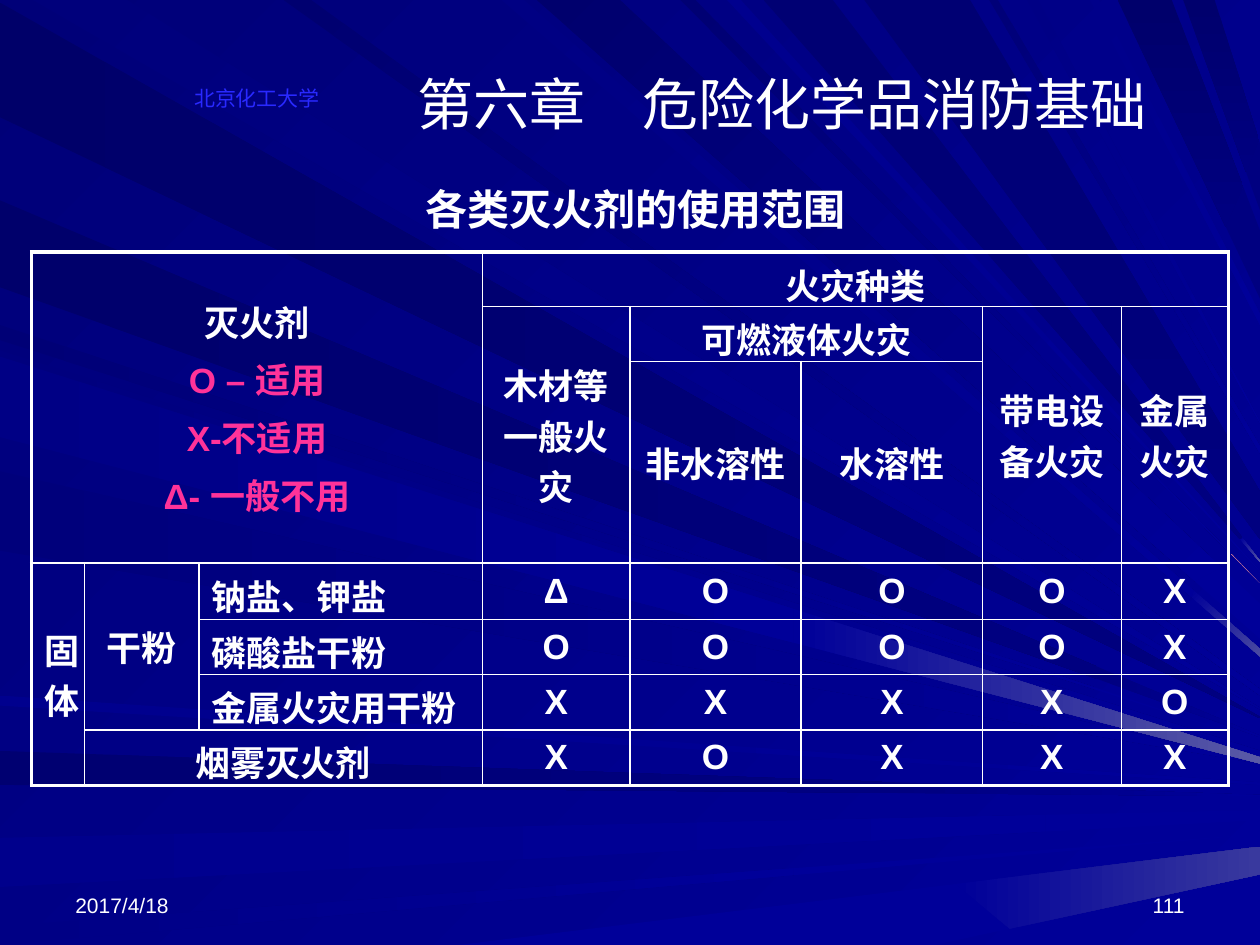
from dataclasses import dataclass
from enum import Enum
from typing import NamedTuple, Optional

from lxml.etree import SubElement
from pptx import Presentation
from pptx.dml.color import RGBColor
from pptx.dml.fill import FillFormat
from pptx.enum.text import MSO_ANCHOR, PP_ALIGN
from pptx.oxml import parse_xml
from pptx.oxml.ns import nsdecls, qn
from pptx.slide import Slide
from pptx.table import _Cell
from pptx.text.text import TextFrame, _Paragraph
from pptx.util import Cm, Pt

Point = tuple[float, float]
Pair = tuple[float, float]
Box = tuple[float, float, float, float]

SLIDE_WIDTH, SLIDE_HEIGHT = 10, 7.5


@dataclass(frozen=True)
class Theme:
    """Colours, fonts, type sizes and line widths of the slide."""
    dark_blue: str = "000078"
    deep_blue: str = "000080"
    blue: str = "000099"
    soft_glow: str = "39399E"
    middle_glow: str = "4A4AA1"
    bright_glow: str = "5A5AA6"
    pink_glow: str = "FF9999"
    text: str = "FFFFFF"
    key: str = "FF3399"
    school: str = "2929FF"
    font: str = "Arial"
    caption_font: str = "Times New Roman"
    title_size: float = 32
    caption_size: float = 24
    table_size: float = 20
    small_size: float = 12
    grid_line: float = 1
    frame_line: float = 2.25


THEME = Theme()


class Edge(Enum):
    """The slide edge where a beam starts."""
    LEFT = "left"
    TOP = "top"
    BOTTOM = "bottom"

    def point(self, distance: float) -> Point:
        """Return the point at a distance along this edge."""
        if self is Edge.LEFT:
            return 0, distance
        return distance, 0 if self is Edge.TOP else SLIDE_HEIGHT


class Beam(NamedTuple):
    """A straight beam to the right edge, changing colour where its two sides reach the joint."""
    edge: Edge
    source: Pair
    exit: Pair
    shade: str
    tint: str = THEME.blue
    joint: Pair = (1, 1)
    glow: Optional[tuple[str, str]] = None


class Label(NamedTuple):
    """A line of text in a box given in inches."""
    text: str
    box: Box
    color: str
    alignment: PP_ALIGN


class Entry(NamedTuple):
    """A table cell with its position, lines and span."""
    row: int
    column: int
    lines: tuple[str, ...]
    height: int = 1
    width: int = 1
    alignment: PP_ALIGN = PP_ALIGN.CENTER


PLAIN = (THEME.blue, THEME.blue)
PLAIN_DEEP = (THEME.deep_blue, THEME.deep_blue)
LIFTED = (THEME.deep_blue, THEME.blue)
SOFT, MIDDLE, BRIGHT, PINK = ((THEME.blue, THEME.soft_glow), (THEME.blue, THEME.middle_glow),
                              (THEME.blue, THEME.bright_glow), (THEME.pink_glow, THEME.pink_glow))

BEAMS = (
    Beam(Edge.LEFT, (0.02, 0.93), (5.69, 5.7), "000069", THEME.deep_blue),
    Beam(Edge.TOP, (0.26, 1.01), (5.63, 5.62), "00007B"),
    Beam(Edge.LEFT, (5.96, 6.23), (6.31, 6.32), "000071", THEME.deep_blue, (0.7, 0.7), LIFTED),
    Beam(Edge.LEFT, (6.65, 7.04), (6.43, 6.51), "00008C", THEME.blue, (0.83, 0.83), PLAIN),
    Beam(Edge.LEFT, (7.35, 7.5), (6.62, 6.62), "000085", THEME.blue, (0.63, 0.63), PLAIN),
    Beam(Edge.BOTTOM, (3.64, 7.42), (6.72, 6.94), THEME.blue, THEME.blue, (0.62, 0.23), SOFT),
    Beam(Edge.LEFT, (2.58, 2.7), (5.89, 5.89), "000076", THEME.blue, (0.87, 0.87), PLAIN),
    Beam(Edge.LEFT, (1.59, 2.28), (5.84, 5.85), "00006B", THEME.deep_blue, (0.87, 0.87), LIFTED),
    Beam(Edge.TOP, (3.98, 4.16), (5.21, 5.15), "000083", THEME.blue, (0.91, 0.91), MIDDLE),
    Beam(Edge.TOP, (4.26, 4.92), (5.07, 4.79), "00006D", THEME.blue, (0.91, 0.94), PLAIN),
    Beam(Edge.TOP, (5.4, 5.52), (4.63, 4.63), "000073", THEME.blue, (0.95, 0.95), PINK),
    Beam(Edge.TOP, (6.06, 6.61), (4.46, 4.45), "000073", THEME.deep_blue, (0.96, 0.96), BRIGHT),
    Beam(Edge.TOP, (8.87, 9.3), (2.37, 1.83), "00006B", THEME.deep_blue, (0.76, 0.81), PLAIN_DEEP),
    Beam(Edge.TOP, (9.39, 9.64), (1.67, 1.14), "00006D", THEME.deep_blue, (0.82, 0.98), PLAIN_DEEP),
    Beam(Edge.LEFT, (2.78, 3.42), (5.96, 6.02), "00007E"),
    Beam(Edge.LEFT, (3.74, 4.37), (6.05, 6.06), "00007B"),
    Beam(Edge.LEFT, (5.52, 5.6), (6.21, 6.23), "00008E"),
    Beam(Edge.TOP, (2.25, 2.47), (5.52, 5.47), "000070"),
    Beam(Edge.TOP, (5.77, 5.88), (4.54, 4.53), "00008E"),
    Beam(Edge.TOP, (6.86, 7.7), (4.28, 3.9), "000073", THEME.deep_blue),
    Beam(Edge.TOP, (7.85, 7.92), (3.6, 3.54), "000078"),
    Beam(Edge.TOP, (8.15, 8.24), (3.36, 3.35), "000085"),
    Beam(Edge.TOP, (8.65, 8.72), (2.58, 2.49), "00008A"),
    Beam(Edge.LEFT, (2.83, 3.47), (6.01, 6.06), "000085", THEME.blue, (0.63, 0.63), BRIGHT),
)

LABELS = (
    Label("2017/4/18", (0.5, 6.83, 2.33, 0.5), THEME.text, PP_ALIGN.LEFT),
    Label("111", (7.17, 6.83, 2.33, 0.5), THEME.text, PP_ALIGN.RIGHT),
    Label("北京化工大学", (1.33, 0.58, 1.42, 0.35), THEME.school, PP_ALIGN.CENTER),
)

COLUMNS = (0.42, 0.91, 2.25, 1.17, 1.36, 1.44, 1.1, 0.85)
ROWS = (0.43, 0.43, 1.6, 0.45, 0.43, 0.44, 0.44)
FIRST_RATING_ROW = FIRST_RATING_COLUMN = 3
HEADINGS = (
    Entry(0, 0, ("灭火剂", "O – 适用", "X-不适用", "Δ- 一般不用"), 3, 3),
    Entry(0, 3, ("火灾种类",), 1, 5),
    Entry(1, 3, ("木材等一般火灾",), 2),
    Entry(1, 4, ("可燃液体火灾",), 1, 2),
    Entry(1, 6, ("带电设备火灾",), 2),
    Entry(1, 7, ("金属火灾",), 2),
    Entry(2, 4, ("非水溶性",)),
    Entry(2, 5, ("水溶性",)),
    Entry(3, 0, ("固体",), 4),
    Entry(3, 1, ("干粉",), 3),
    Entry(6, 1, ("烟雾灭火剂",), 1, 2),
)
POWDERS = ("钠盐、钾盐", "磷酸盐干粉", "金属火灾用干粉")
RATINGS = ("ΔOOOX", "OOOOX", "XXXXO", "XOXXX")


def inches(value: float) -> Cm:
    """Convert inches to a centimetre length."""
    return Cm(value * 2.54)


def apply_gradient(fill: FillFormat, start: str, end: str, angle: int) -> None:
    """Fill with a two-colour gradient at a clockwise angle."""
    fill.gradient()
    fill.gradient_angle = (360 - angle) % 360
    for stop, color in zip(fill.gradient_stops, (start, end)):
        stop.color.rgb = RGBColor.from_string(color)


def between(start: Point, end: Point, fraction: float) -> Point:
    """Return the point at a fraction of the way from start to end."""
    return tuple(first + (last - first) * fraction for first, last in zip(start, end))


def draw_band(slide: Slide, corners: list[Point], colors: tuple[str, str], angle: int) -> None:
    """Draw one four-cornered piece of a beam."""
    first, *others = [tuple(map(inches, corner)) for corner in corners]
    builder = slide.shapes.build_freeform(*first)
    builder.add_line_segments(others, close=True)
    shape = builder.convert_to_shape()
    shape.shadow.inherit = False
    shape.line.fill.background()
    apply_gradient(shape.fill, *colors, angle)


def draw_beam(slide: Slide, beam: Beam) -> None:
    """Draw a beam up to its joint and, where it glows, on to the right edge."""
    sources = [beam.edge.point(distance) for distance in beam.source]
    exits = [(SLIDE_WIDTH, height) for height in beam.exit]
    joints = [between(*side) for side in zip(sources, exits, beam.joint)]
    angle = 45 if beam.edge is Edge.TOP else 0
    steep = beam.edge is Edge.TOP and beam.tint == THEME.deep_blue
    draw_band(slide, sources + joints[::-1], (beam.shade, beam.tint), 90 if steep else angle)
    if beam.glow:
        draw_band(slide, joints + exits[::-1], beam.glow, angle)


def write(paragraph: _Paragraph, text: str, size: float, color: str, alignment: PP_ALIGN,
          bold: bool = False, font: str = THEME.font) -> None:
    """Put formatted text in a paragraph."""
    paragraph.text = text
    paragraph.alignment = alignment
    paragraph.font.name = font
    paragraph.font.size = Pt(size)
    paragraph.font.bold = bold
    paragraph.font.color.rgb = RGBColor.from_string(color)


def add_box(slide: Slide, box: Box, anchor: MSO_ANCHOR) -> TextFrame:
    """Add a wrapping text box and return its frame."""
    frame = slide.shapes.add_textbox(*map(inches, box)).text_frame
    frame.word_wrap = True
    frame.vertical_anchor = anchor
    return frame


def draw_borders(cell: _Cell, edges: dict[str, bool]) -> None:
    """Draw the four borders of a cell, heavier on the table's frame."""
    properties = cell._tc.get_or_add_tcPr()
    for index, (side, outer) in enumerate(edges.items()):
        width = Pt(THEME.frame_line if outer else THEME.grid_line)
        line = parse_xml(f'<a:ln{side} {nsdecls("a")} w="{width}"/>')
        SubElement(SubElement(line, qn("a:solidFill")), qn("a:srgbClr")).set("val", THEME.text)
        properties.insert(index, line)


def table_entries() -> list[Entry]:
    """List the headings, the powder names and the ratings."""
    powders = [Entry(row, FIRST_RATING_COLUMN - 1, (name,), alignment=PP_ALIGN.LEFT)
               for row, name in enumerate(POWDERS, FIRST_RATING_ROW)]
    ratings = [Entry(row, column, (mark,)) for row, marks in enumerate(RATINGS, FIRST_RATING_ROW)
               for column, mark in enumerate(marks, FIRST_RATING_COLUMN)]
    return [*HEADINGS, *powders, *ratings]


def draw_table(slide: Slide) -> None:
    """Draw the table of extinguishing agents against kinds of fire."""
    box = (0.25, 2, sum(COLUMNS), sum(ROWS))
    table = slide.shapes.add_table(len(ROWS), len(COLUMNS), *map(inches, box)).table
    table.first_row = table.horz_banding = False
    for column, width in zip(table.columns, COLUMNS):
        column.width = inches(width)
    for row, height in zip(table.rows, ROWS):
        row.height = inches(height)
    for cell in table.iter_cells():
        cell.fill.background()
    for entry in table_entries():
        bottom, right = entry.row + entry.height, entry.column + entry.width
        cell = table.cell(entry.row, entry.column)
        if entry.height * entry.width > 1:
            cell.merge(table.cell(bottom - 1, right - 1))
        cell.vertical_anchor = MSO_ANCHOR.MIDDLE
        for index, text in enumerate(entry.lines):
            paragraph = cell.text_frame.add_paragraph() if index else cell.text_frame.paragraphs[0]
            write(paragraph, text, THEME.table_size, THEME.key if index else THEME.text,
                  entry.alignment, bold=True)
            if index:
                paragraph.space_before = Pt(THEME.table_size * 0.2)
        draw_borders(cell, {"L": entry.column == 0, "R": right == len(COLUMNS),
                            "T": entry.row == 0, "B": bottom == len(ROWS)})


def draw_title(slide: Slide) -> None:
    """Place the chapter title in front of the beams."""
    title = slide.shapes.title
    title.left, title.top, title.width, title.height = map(inches, (2.92, 0.3, 6.58, 1.03))
    title.text_frame.vertical_anchor = MSO_ANCHOR.MIDDLE
    write(title.text_frame.paragraphs[0], "第六章　危险化学品消防基础", THEME.title_size,
          THEME.text, PP_ALIGN.CENTER)
    slide.shapes._spTree.append(title._element)


def draw_caption(slide: Slide) -> None:
    """Write the caption above the table."""
    caption = add_box(slide, (0.42, 1.33, 9.25, 0.58), MSO_ANCHOR.TOP).paragraphs[0]
    write(caption, "各类灭火剂的使用范围", THEME.caption_size, THEME.text, PP_ALIGN.CENTER,
          bold=True, font=THEME.caption_font)
    caption.line_spacing = 1.2


def main() -> None:
    """Build and save the slide."""
    presentation = Presentation()
    presentation.slide_width, presentation.slide_height = inches(SLIDE_WIDTH), inches(SLIDE_HEIGHT)
    slide = presentation.slides.add_slide(presentation.slide_layouts[5])
    apply_gradient(slide.background.fill, THEME.dark_blue, THEME.blue, 45)
    for beam in BEAMS:
        draw_beam(slide, beam)
    draw_title(slide)
    draw_caption(slide)
    draw_table(slide)
    for label in LABELS:
        frame = add_box(slide, label.box, MSO_ANCHOR.BOTTOM)
        write(frame.paragraphs[0], label.text, THEME.small_size, label.color, label.alignment)
    presentation.save("out.pptx")


if __name__ == "__main__":
    main()
